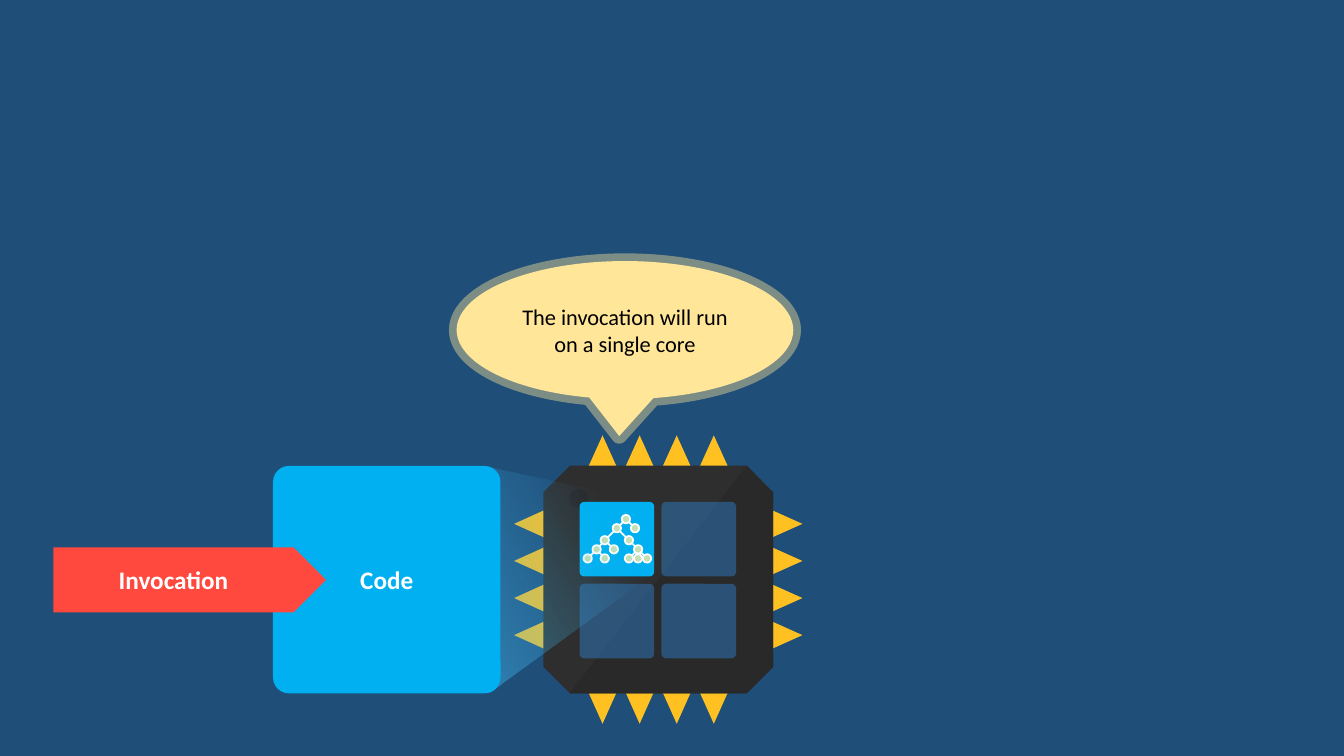
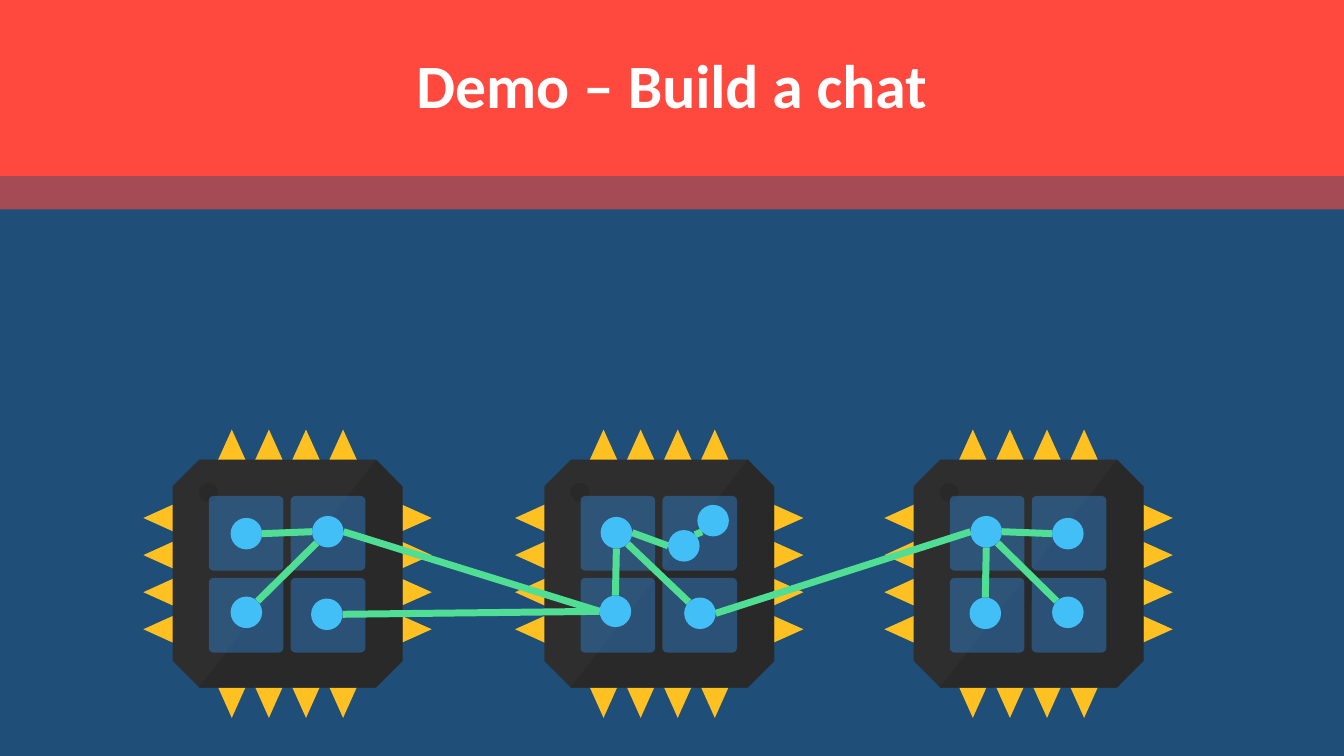
"""Build two slides about running code on processor cores."""
from dataclasses import dataclass
from math import cos, radians, sin
from typing import Any, NamedTuple, Optional

from lxml import etree
from pptx import Presentation, util as u
from pptx.dml.color import RGBColor
from pptx.enum import shapes, text
from pptx.oxml.ns import qn

COLORS = {
    "background": "1F4E79", "accent": "FF493E", "code": "00B0F0", "pin": "FFC021",
    "package": "2E2E2E", "shade": "292929", "core": "2E75B6", "leaf": "C5E0B4",
    "white": "FFFFFF", "black": "000000", "bubble": "FFE699", "node": "43BFF7",
    "link": "50DE94",
}
SLIDE_WIDTH, SLIDE_HEIGHT = 960, 540
HEADER_HEIGHT = 126
FONT = "Calibri"
KIND = shapes.MSO_SHAPE


class Point(NamedTuple):
    x: float
    y: float


@dataclass(frozen=True)
class Box:
    left: float
    top: float
    width: float
    height: float


@dataclass(frozen=True)
class Link:
    start: str
    start_angle: int
    end: str
    end_angle: int


TREE = {
    "root": Point(447.1, 370.8),
    "left": Point(440.6, 377.3), "right": Point(453.6, 377.3),
    "outer": Point(432, 385.9), "inner": Point(449.3, 385.9),
    "outer left": Point(426.2, 392.4), "outer right": Point(438.5, 392.4),
    "inner right": Point(455.8, 392.4),
    "leaf 1": Point(419.8, 398.9), "leaf 2": Point(432, 398.9),
    "leaf 3": Point(449.3, 398.9), "leaf 4": Point(455.8, 398.9),
    "leaf 5": Point(462.2, 398.9),
}
BRANCHES = {
    "root": ("left", "right"), "left": ("outer", "inner"),
    "outer": ("outer left", "outer right"), "outer left": ("leaf 1", "leaf 2"),
    "inner": ("inner right",), "inner right": ("leaf 3", "leaf 4", "leaf 5"),
}
NETWORK = {
    "A1": Point(176, 381.2), "A2": Point(234.2, 379.8),
    "A3": Point(176, 437.4), "A4": Point(233.5, 438.8),
    "B1": Point(440.3, 380.5), "B2": Point(488.5, 389.9), "B3": Point(509.4, 371.9),
    "B4": Point(439.6, 436.7), "B5": Point(500, 438.1),
    "C1": Point(704.5, 379.8), "C2": Point(762.8, 381.2),
    "C3": Point(703.8, 438.1), "C4": Point(762.8, 437.4),
}
LINKS = [
    Link("C1", 180, "B5", 0), Link("B4", 180, "A2", 0), Link("B4", 180, "A4", 0),
    Link("B1", 90, "B4", 270), Link("A2", 180, "A1", 0), Link("A2", 135, "A3", 315),
    Link("C1", 90, "C3", 270), Link("C1", 45, "C4", 225), Link("B1", 45, "B5", 225),
    Link("C1", 0, "C2", 180), Link("B2", 180, "B1", 0), Link("B2", 315, "B3", 135),
]


def rgb(name: str) -> RGBColor:
    return RGBColor.from_string(COLORS[name])


def fade(shape: Any, *opacities: int) -> None:
    for color, opacity in zip(shape.element.iter(qn("a:srgbClr")), opacities):
        etree.SubElement(color, qn("a:alpha")).set("val", str(opacity * 1000))


def paint(shape: Any, color: str) -> None:
    shape.shadow.inherit = False
    shape.fill.solid()
    shape.fill.fore_color.rgb = rgb(color)
    shape.line.fill.background()


def outline(shape: Any, color: str, width: float) -> None:
    shape.line.color.rgb = rgb(color)
    shape.line.width = u.Pt(width)


def draw(canvas: Any, kind: Any, box: Box, color: str,
         adjustments: tuple[float, ...] = ()) -> Any:
    shape = canvas.add_shape(kind, u.Pt(box.left), u.Pt(box.top),
                             u.Pt(box.width), u.Pt(box.height))
    for index, value in enumerate(adjustments):
        shape.adjustments[index] = value
    paint(shape, color)
    return shape


def draw_outlines(canvas: Any, outlines: list[list[Point]], color: str) -> Any:
    scaled = [[(u.Pt(x), u.Pt(y)) for x, y in points] for points in outlines]
    builder = canvas.build_freeform(*scaled[0][0], scale=1.0)
    for index, (first, *rest) in enumerate(scaled):
        if index:
            builder.move_to(*first)
        builder.add_line_segments(rest, close=True)
    shape = builder.convert_to_shape()
    paint(shape, color)
    return shape


def draw_line(canvas: Any, start: Point, end: Point, color: str, width: float) -> None:
    line = canvas.add_connector(shapes.MSO_CONNECTOR.STRAIGHT,
                                *(u.Pt(value) for value in (*start, *end)))
    outline(line, color, width)
    etree.SubElement(line.element.spPr, qn("a:effectLst"))


def draw_disc(canvas: Any, center: Point, size: float, color: str) -> Any:
    box = Box(center.x - size / 2, center.y - size / 2, size, size)
    return draw(canvas, KIND.OVAL, box, color)


def write(shape: Any, words: str, size: int, color: str = "white", bold: bool = True,
          line_spacing: Optional[float] = None) -> None:
    frame = shape.text_frame
    frame.text = words
    paragraph = frame.paragraphs[0]
    formats = {
        frame: {"word_wrap": True, "vertical_anchor": text.MSO_ANCHOR.MIDDLE},
        paragraph: {"alignment": text.PP_ALIGN.CENTER, "line_spacing": line_spacing},
        paragraph.runs[0].font: {"name": FONT, "size": u.Pt(size), "bold": bold},
    }
    for target, values in formats.items():
        for attribute, value in values.items():
            setattr(target, attribute, value)
    paragraph.runs[0].font.color.rgb = rgb(color)


def pin_outlines(left: float, top: float) -> list[list[Point]]:
    half, outlines = 9.9, []
    for index in range(4):
        middle = 63.2 + 26.5 * index
        for base, tip in ((21.9, 0), (183.9, 206)):
            along = ((middle - half, base), (middle, tip), (middle + half, base))
            outlines.append([Point(left + a, top + b) for a, b in along])
            outlines.append([Point(left + b, top + a) for a, b in along])
    return outlines


def draw_chip(canvas: Any, left: float, top: float, first_core_active: bool = False) -> None:
    chip = canvas.add_group_shape().shapes
    draw_outlines(chip, pin_outlines(left, top), "pin")
    draw(chip, KIND.OCTAGON, Box(left + 20.9, top + 21.6, 164.2, 162.7), "package", (0.117,))
    corners = ((39.6, 184.3), (166.3, 21.6), (185, 41), (185, 165.6), (166.3, 184.3))
    draw_outlines(chip, [[Point(left + x, top + y) for x, y in corners]], "shade")
    draw(chip, KIND.OVAL, Box(left + 39.6, top + 38.2, 13.7, 13.7), "shade")
    for index in range(4):
        row, column = divmod(index, 2)
        active = first_core_active and index == 0
        core = draw(chip, KIND.ROUNDED_RECTANGLE,
                    Box(left + 46.8 + 58.5 * column, top + 47.5 + 58.5 * row, 53.3, 53.3),
                    "code" if active else "core", (0.062,))
        if not active:
            fade(core, 55)


def draw_tree(canvas: Any) -> None:
    tree = canvas.add_group_shape().shapes
    for parent, children in BRANCHES.items():
        for child in children:
            draw_line(tree, TREE[parent], TREE[child], "white", 1.25)
    for center in TREE.values():
        outline(draw_disc(tree, center, 6, "leaf"), "white", 1.25)


def draw_network(canvas: Any) -> None:
    network = canvas.add_group_shape().shapes
    size = 22.5

    def rim(name: str, angle: int) -> Point:
        center, turn = NETWORK[name], radians(angle)
        return Point(center.x + size / 2 * cos(turn), center.y + size / 2 * sin(turn))

    for link in LINKS:
        draw_line(network, rim(link.start, link.start_angle),
                  rim(link.end, link.end_angle), "link", 5)
    for center in NETWORK.values():
        draw_disc(network, center, size, "node")


def draw_beam(canvas: Any) -> None:
    corners = ((347.8, 333.4), (463.7, 358.6), (465.8, 359.3), (466.6, 361.4),
               (466.6, 408.2), (465.8, 410.4), (463.7, 411.8), (350.6, 494.6))
    beam = draw_outlines(canvas, [[Point(x, y) for x, y in corners]], "node")
    beam.fill.gradient()
    beam.fill.gradient_angle = 30
    for stop, position in zip(beam.fill.gradient_stops, (0, 0.76)):
        stop.position = position
        stop.color.rgb = rgb("node")
    fade(beam, 45, 0)


def build_invocation_slide(deck: Any) -> None:
    canvas = deck.slides.add_slide(deck.slide_layouts[6]).shapes
    draw_chip(canvas, 367.2, 311, first_core_active=True)
    draw_tree(canvas)
    draw_beam(canvas)
    code = draw(canvas, KIND.ROUNDED_RECTANGLE, Box(195, 332.8, 162.5, 162.5), "code", (0.07,))
    write(code, "Code", 18)
    invocation = draw(canvas, KIND.RIGHT_ARROW, Box(38.2, 391, 194.6, 46.4), "accent", (1, 0.5))
    write(invocation, "Invocation", 18)
    remark = draw(canvas, KIND.OVAL_CALLOUT, Box(326.2, 186.5, 240.5, 98.6), "bubble",
                  (-0.017, 0.768))
    outline(remark, "bubble", 11)
    fade(remark, 100, 42)
    write(remark, "The invocation will run on a single core", 16, "black", False)


def build_demo_slide(deck: Any) -> None:
    canvas = deck.slides.add_slide(deck.slide_layouts[5]).shapes
    header = draw(canvas, KIND.ROUNDED_RECTANGLE, Box(0, 0, SLIDE_WIDTH, HEADER_HEIGHT),
                  "accent", (0,))
    title = canvas.title
    title.element.addprevious(header.element)
    place = {"left": 66, "top": 10.8, "width": 828, "height": 104.4}
    for attribute, value in place.items():
        setattr(title, attribute, u.Pt(value))
    write(title, "Demo – Build a chat", 44, line_spacing=0.9)
    for left in (631.7, 367.9, 102.4):
        draw_chip(canvas, left, 306.8)
    draw_network(canvas)
    band = draw(canvas, KIND.RECTANGLE, Box(0, HEADER_HEIGHT, SLIDE_WIDTH, 23.5), "accent")
    fade(band, 60)


def main() -> None:
    deck = Presentation()
    deck.slide_width, deck.slide_height = u.Pt(SLIDE_WIDTH), u.Pt(SLIDE_HEIGHT)
    backdrop = deck.slide_master.background.fill
    backdrop.solid()
    backdrop.fore_color.rgb = rgb("background")
    build_invocation_slide(deck)
    build_demo_slide(deck)
    deck.save("out.pptx")


if __name__ == "__main__":
    main()
